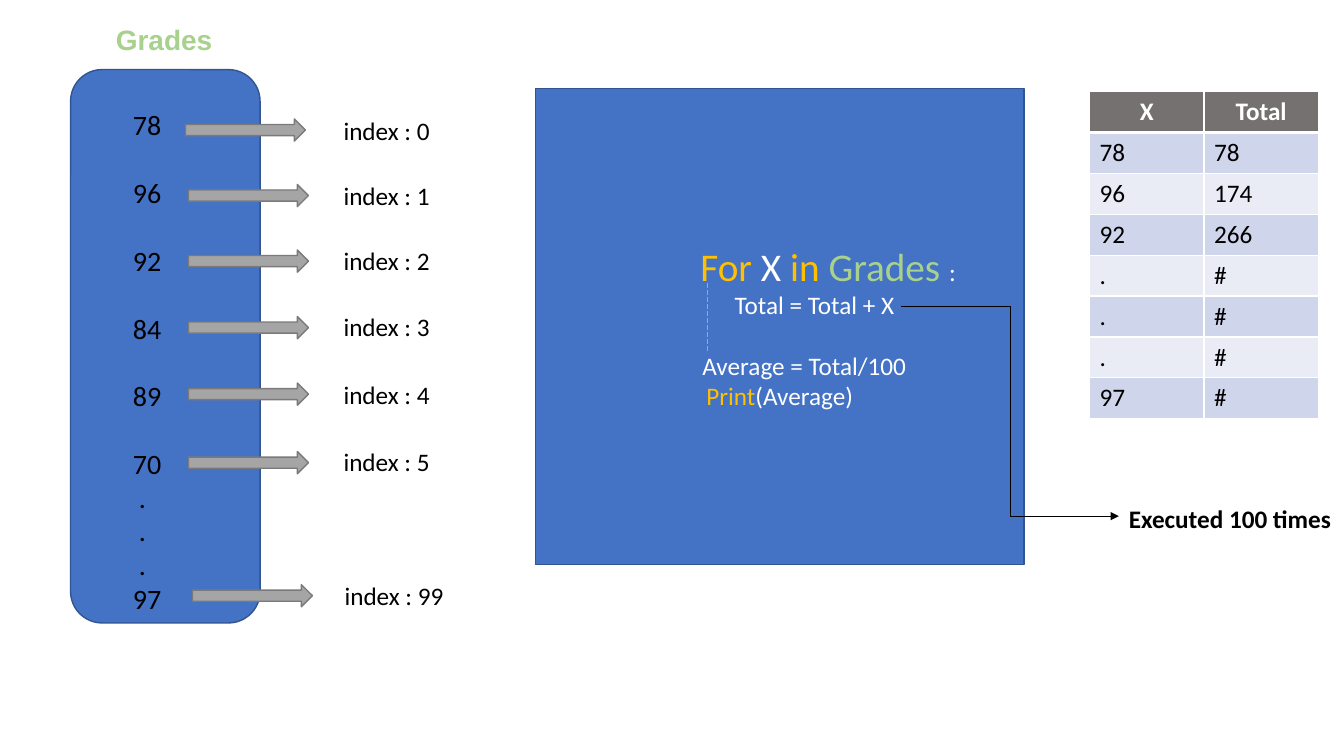
"""Build a slide that shows how a loop sums a list of grades."""
from dataclasses import dataclass

from lxml import etree
from pptx import Presentation
from pptx.dml.color import RGBColor
from pptx.enum.dml import MSO_LINE
from pptx.enum.shapes import MSO_CONNECTOR, MSO_SHAPE
from pptx.enum.text import MSO_ANCHOR, MSO_AUTO_SIZE, PP_ALIGN
from pptx.oxml.ns import qn
from pptx.util import Inches, Pt

RECT, ROUND, ARROW = MSO_SHAPE.RECTANGLE, MSO_SHAPE.ROUNDED_RECTANGLE, MSO_SHAPE.RIGHT_ARROW
LINE, ELBOW = MSO_CONNECTOR.STRAIGHT, MSO_CONNECTOR.ELBOW
LEFT, CENTER = PP_ALIGN.LEFT, PP_ALIGN.CENTER
MIDDLE, GROW, DASH = MSO_ANCHOR.MIDDLE, MSO_AUTO_SIZE.SHAPE_TO_FIT_TEXT, MSO_LINE.SQUARE_DOT

COLS, ROWS = 133.33, 75
BLACK, WHITE, BLUE, NAVY = "000000", "FFFFFF", "4472C4", "325491"
GOLD, GREEN, GRAY, DARK = "FFC000", "A9D18E", "A5A5A5", "767171"
BANDS = ("E9EBF5", "CFD5EA")


@dataclass
class Box:
    """Area in grid columns and rows."""
    col: float
    row: float
    wide: float
    high: float


@dataclass
class Run:
    """Piece of text with its own colour and size."""
    text: str
    color: str = ""
    size: float = 0


@dataclass
class Para:
    """Paragraph with an indent in columns and a gap in points."""
    runs: list[Run]
    indent: float = 0
    gap: float = 0


@dataclass
class Entry:
    """Index label with its arrow."""
    index: int
    col: float
    row: float
    label: Box


ENTRIES = [
    Entry(0, 18.4, 11.8, Box(33.1, 10.9, 16, 4)),
    Entry(1, 18.7, 18.3, Box(33.1, 17.4, 16, 4)),
    Entry(2, 18.7, 24.8, Box(33.1, 23.8, 16, 4)),
    Entry(3, 18.7, 31.4, Box(33.1, 30.4, 16, 4)),
    Entry(4, 18.7, 38, Box(33.1, 37.1, 16, 4)),
    Entry(5, 18.7, 44.8, Box(33.1, 43.8, 16, 4)),
    Entry(99, 19.1, 58, Box(33.2, 57.1, 16, 4)),
]
CODE = [
    Para([Run("For", GOLD, 28), Run(" X ", size=28), Run("in ", GOLD, 28),
          Run("Grades ", GREEN, 28), Run(":")], 15.4),
    Para([Run("Total = Total + X")], 18.8),
    Para([Run("Average = Total/100")], 15.6, 22),
    Para([Run("Print", GOLD), Run("(Average)")], 16),
]
GRADES = [Para([Run(grade)], gap=24.4 if at else 0)
          for at, grade in enumerate(("78", "96", "92", "84", "89", "70"))]
GRADES += [Para([Run(".")], 0.6)] * 3 + [Para([Run("97")])]
TOTALS = [("X", "Total"), ("78", "78"), ("96", "174"), ("92", "266"),
          (".", "#"), (".", "#"), (".", "#"), ("97", "#")]


def unit(cells: float) -> int:
    """Turn grid cells into a length."""
    return Inches(cells / 10)


def area(box: Box) -> tuple:
    """Turn a grid box into left, top, width and height."""
    return unit(box.col), unit(box.row), unit(box.wide), unit(box.high)


def paint(part, color: str) -> None:
    """Give a fill a solid colour."""
    part.solid()
    part.fore_color.rgb = RGBColor.from_string(color)


def write(frame, text, size=18, color=BLACK, bold=False, font="Calibri", align=LEFT) -> None:
    """Fill a text frame with a string or a list of paragraphs."""
    paras = [Para([Run(text)])] if isinstance(text, str) else text
    frame.word_wrap = True
    for at, para in enumerate(paras):
        line = frame.add_paragraph() if at else frame.paragraphs[0]
        line.alignment = align
        line.space_before = Pt(para.gap)
        if para.indent:
            line._p.get_or_add_pPr().set("marL", str(unit(para.indent)))
        for item in para.runs:
            run = line.add_run()
            run.text = item.text
            run.font.name = font
            run.font.size = Pt(item.size or size)
            run.font.bold = bold
            paint(run.font.fill, item.color or color)


def label(slide, box: Box, text, **form) -> None:
    """Add a text box that grows with its text."""
    frame = slide.shapes.add_textbox(*area(box)).text_frame
    write(frame, text, **form)
    frame.auto_size = GROW


def block(slide, kind, box: Box, fill: str, edge: str):
    """Add a filled and outlined shape."""
    shape = slide.shapes.add_shape(kind, *area(box))
    shape.shadow.inherit = False
    paint(shape.fill, fill)
    paint(shape.line.fill, edge)
    shape.line.width = Pt(1)
    return shape


def link(slide, kind, box: Box, color: str, width: float):
    """Add a connector across a box."""
    line = slide.shapes.add_connector(
        kind, unit(box.col), unit(box.row), unit(box.col + box.wide), unit(box.row + box.high))
    paint(line.line.fill, color)
    line.line.width = Pt(width)
    return line


def flat(line) -> None:
    """Remove the shadow of a connector."""
    etree.SubElement(line._element.spPr, qn("a:effectLst"))


def border(cell, low: float) -> None:
    """Draw white borders around a cell."""
    props = cell._tc.get_or_add_tcPr()
    for side, width in (("L", 1), ("R", 1), ("T", 1), ("B", low)):
        edge = etree.SubElement(props, qn(f"a:ln{side}"), w=str(Pt(width)))
        fill = etree.SubElement(edge, qn("a:solidFill"))
        etree.SubElement(fill, qn("a:srgbClr"), val=WHITE)


def totals(slide, box: Box) -> None:
    """Add the table of running totals."""
    table = slide.shapes.add_table(len(TOTALS), 2, *area(box)).table
    for row, texts in enumerate(TOTALS):
        table.rows[row].height = unit(box.high / len(TOTALS))
        head = row == 0
        for col, text in enumerate(texts):
            cell = table.cell(row, col)
            border(cell, 3 if head else 1)
            paint(cell.fill, DARK if head else BANDS[row % 2])
            write(cell.text_frame, text, bold=head, color=WHITE if head else BLACK,
                  align=CENTER if head else LEFT)


def main() -> None:
    """Draw the slide and save it."""
    deck = Presentation()
    deck.slide_width, deck.slide_height = unit(COLS), unit(ROWS)
    slide = deck.slides.add_slide(deck.slide_layouts[6])

    code = block(slide, RECT, Box(53.1, 8.8, 48.5, 47.2), BLUE, NAVY)
    code.text_frame.vertical_anchor = MIDDLE
    write(code.text_frame, CODE, color=WHITE)
    guide = link(slide, LINE, Box(70.2, 28.1, 0, 6.7), "A6A6A6", 1.25)
    guide.line.dash_style = DASH
    flat(guide)
    totals(slide, Box(108.1, 9.1, 22.7, 32.4))

    block(slide, ROUND, Box(7, 6.9, 18.8, 54.9), BLUE, NAVY)
    label(slide, Box(12.2, 10.2, 17, 51.5), GRADES, size=20)
    label(slide, Box(10.5, 1.7, 12.2, 4.4), "Grades", size=20, color=GREEN,
          bold=True, font="Arial")
    for entry in ENTRIES:
        block(slide, ARROW, Box(entry.col, entry.row, 11.9, 2.2), GRAY, "7A7A7A")
        label(slide, entry.label, f"index : {entry.index}")

    route = link(slide, ELBOW, Box(89.4, 30.4, 21.6, 20.8), BLACK, 0.5)
    etree.SubElement(route.line._get_or_add_ln(), qn("a:tailEnd"), type="triangle")
    flat(route)
    label(slide, Box(111, 49.4, 22.3, 4), "Executed 100 times", bold=True)
    deck.save("out.pptx")


if __name__ == "__main__":
    main()
